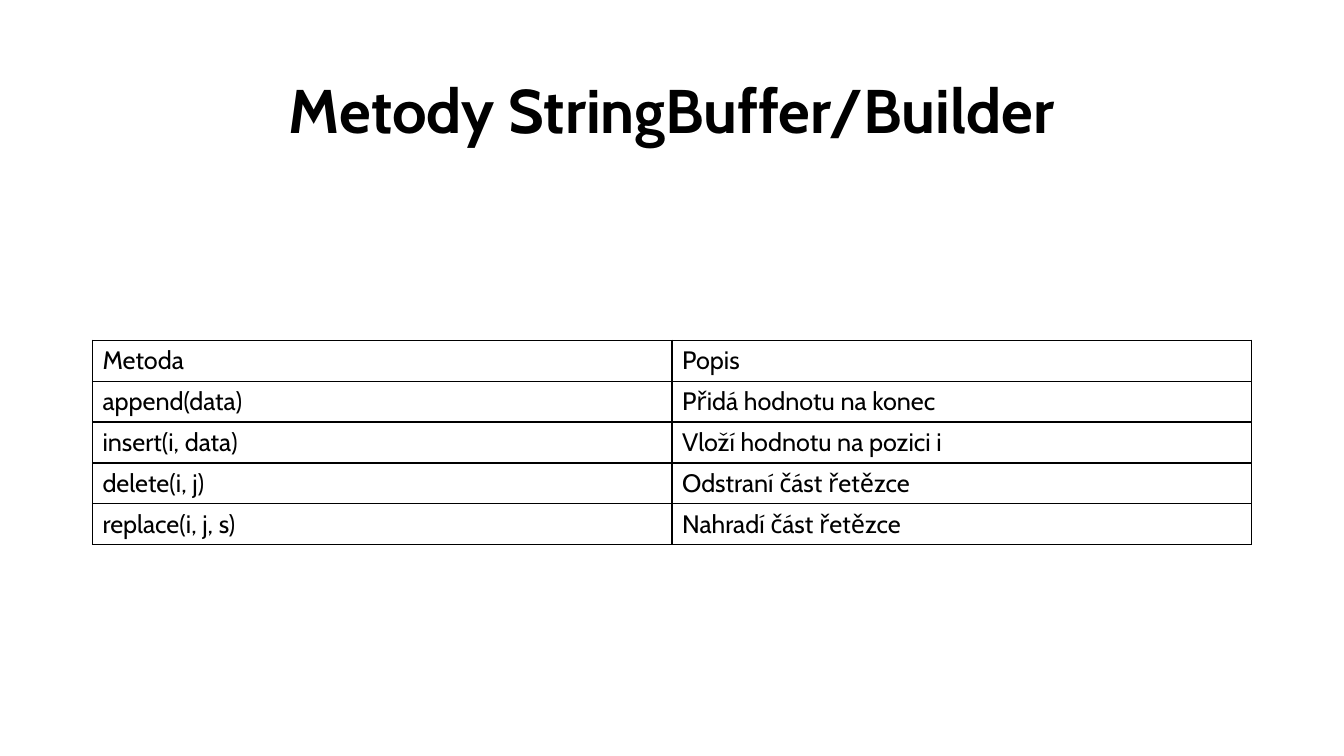
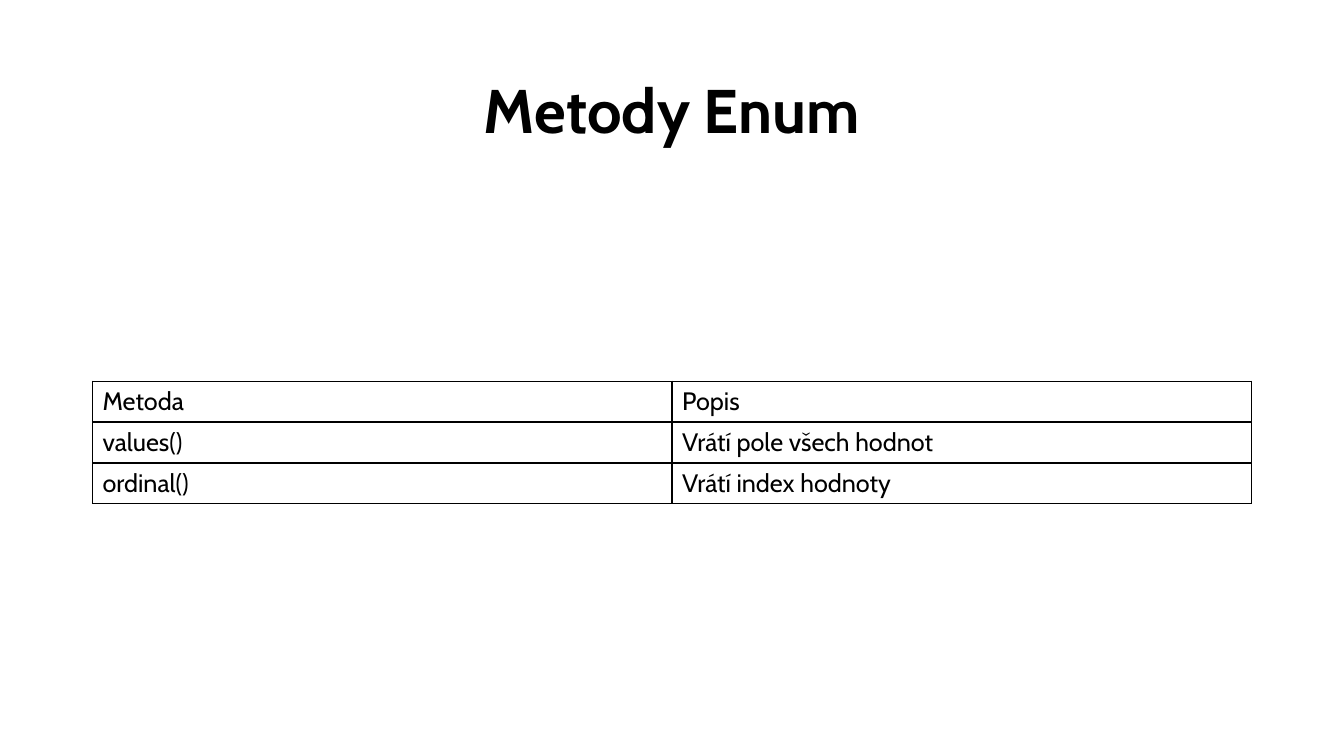
from pptx import Presentation
from pptx.dml.color import RGBColor
from pptx.enum.text import MSO_ANCHOR, PP_ALIGN
from pptx.oxml import parse_xml
from pptx.oxml.ns import nsdecls
from pptx.util import Cm, Pt

HEADER = ("Metoda", "Popis")
SLIDES = [
    ("Metody StringBuffer/Builder", [
        ("append(data)", "Přidá hodnotu na konec"),
        ("insert(i, data)", "Vloží hodnotu na pozici i"),
        ("delete(i, j)", "Odstraní část řetězce"),
        ("replace(i, j, s)", "Nahradí část řetězce"),
    ]),
    ("Metody Enum", [
        ("values()", "Vrátí pole všech hodnot"),
        ("ordinal()", "Vrátí index hodnoty"),
    ]),
]

FONT = "Cabin"
BLACK = RGBColor(0, 0, 0)
LEFT, WIDTH = Cm(2.33), Cm(29.21)
TITLE_TOP, TITLE_HEIGHT = Cm(1.01), Cm(3.68)
TABLE_MIDDLE, ROW_HEIGHT = Cm(11.15), Cm(1.03)
BORDER = Pt(1)


def style_text(p, size, bold=False):
    p.font.name = FONT
    p.font.size = Pt(size)
    p.font.bold = bold
    p.font.color.rgb = BLACK


def add_title(s, text):
    tf = s.shapes.add_textbox(LEFT, TITLE_TOP, WIDTH, TITLE_HEIGHT).text_frame
    tf.word_wrap = True
    tf.vertical_anchor = MSO_ANCHOR.MIDDLE
    p = tf.paragraphs[0]
    p.text = text
    p.alignment = PP_ALIGN.CENTER
    p.line_spacing = 0.9
    style_text(p, 44, bold=True)


def add_borders(cell):
    tc_pr = cell._tc.get_or_add_tcPr()
    for side in ("lnL", "lnR", "lnT", "lnB"):
        tc_pr.append(parse_xml(
            f'<a:{side} {nsdecls("a")} w="{BORDER}"><a:solidFill>'
            f'<a:srgbClr val="{BLACK}"/></a:solidFill></a:{side}>'))


def add_method_table(s, rows):
    """Add a bordered table centred vertically on TABLE_MIDDLE."""
    height = ROW_HEIGHT * len(rows)
    table = s.shapes.add_table(len(rows), len(HEADER), LEFT,
                               TABLE_MIDDLE - height // 2, WIDTH, height).table
    table.first_row = table.horz_banding = False
    for i, row in enumerate(rows):
        for j, text in enumerate(row):
            cell = table.cell(i, j)
            cell.text = text
            cell.vertical_anchor = MSO_ANCHOR.MIDDLE
            style_text(cell.text_frame.paragraphs[0], 18)
            add_borders(cell)
            cell.fill.background()


def main():
    prs = Presentation()
    prs.slide_width, prs.slide_height = Cm(33.87), Cm(19.05)
    for title, methods in SLIDES:
        s = prs.slides.add_slide(prs.slide_layouts[6])
        add_title(s, title)
        add_method_table(s, [HEADER, *methods])
    prs.save("out.pptx")


if __name__ == "__main__":
    main()
